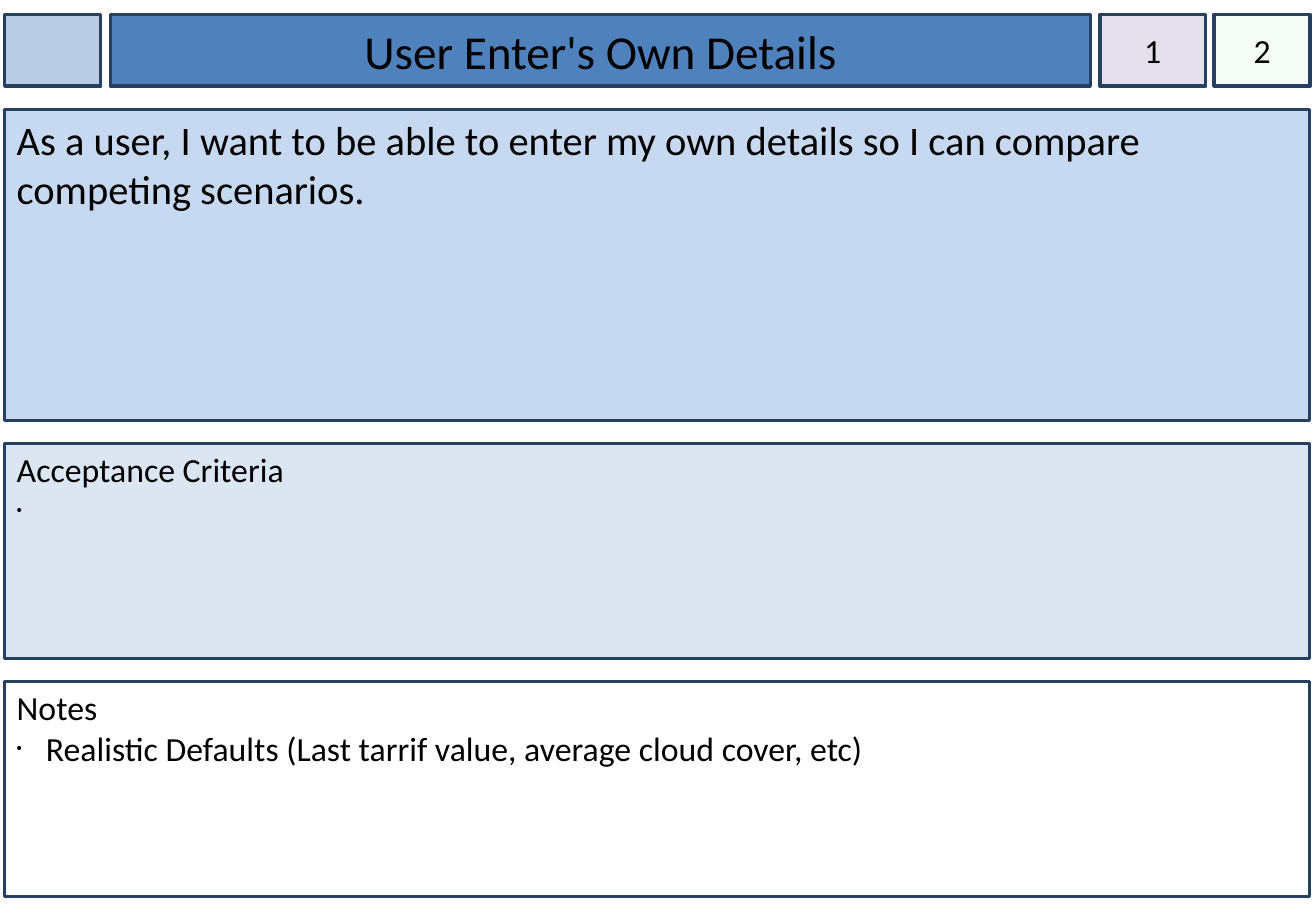
from dataclasses import dataclass
from typing import Any, Optional

import lxml.etree
import pptx
import pptx.dml.color
import pptx.enum.shapes
import pptx.enum.text
import pptx.oxml
import pptx.oxml.ns
import pptx.util

Cm = pptx.util.Cm
Align = pptx.enum.text.PP_ALIGN
Anchor = pptx.enum.text.MSO_ANCHOR

COLORS = {
    "edge": "254061",
    "text": "000000",
    "tag": "B9CDE5",
    "title": "4F81BD",
    "story": "C6D9F1",
    "tests": "DCE6F2",
    "notes": "FFFFFF",
    "rank": "E6E0EC",
    "points": "CCF0CD",
}
FONT = "Calibri"
EDGE = 0.1
HEAD_TOP, HEAD_HIGH = 0.3, 1.5
STACK_TOP, STACK_WIDE, STACK_GAP = 2.29, 27.3, 0.48
HANG = 0.61


@dataclass
class Box:
    fill: str
    left: float
    width: float
    top: float = HEAD_TOP
    height: float = HEAD_HIGH
    text: str = ""
    size: int = 20
    align: Any = Align.CENTER
    anchor: Any = Anchor.MIDDLE
    inset: float = 0.25
    wrap: bool = True
    holder: Optional[int] = None
    item: Optional[str] = None
    alpha: Optional[int] = None


@dataclass
class Panel:
    name: str
    height: float
    text: str
    size: int = 20
    holder: Optional[int] = None
    item: Optional[str] = None


HEADER = [
    Box("tag", EDGE, 2.01),
    Box("title", 2.31, 20.5, text="User Enter's Own Details", size=28, holder=0),
    Box("rank", 23.01, 2.21, text="1", inset=0, wrap=False),
    Box("points", 25.4, 2.01, text="2", inset=0, alpha=20),
]
PANELS = [
    Panel("story", 6.5, "As a user, I want to be able to enter my own details "
          "so I can compare competing scenarios.", size=24),
    # A lone space keeps the bullet of the open item visible.
    Panel("tests", 4.5, "Acceptance Criteria", holder=1, item=" "),
    Panel("notes", 4.5, "Notes", holder=2,
          item="Realistic Defaults (Last tarrif value, average cloud cover, etc)"),
]


def assign(target: Any, values: dict[str, Any]) -> None:
    for name, value in values.items():
        setattr(target, name, value)


def color(name: str) -> pptx.dml.color.RGBColor:
    return pptx.dml.color.RGBColor.from_string(COLORS[name])


def add_tag(parent: Any, tag: str, **values: str) -> Any:
    return lxml.etree.SubElement(parent, pptx.oxml.ns.qn(tag), values)


def set_bullet(para: Any, shown: bool) -> None:
    """Hang the lines of a list and show or hide the bullet."""
    props = para._p.get_or_add_pPr()
    props.set("marL", str(Cm(HANG)))
    props.set("indent", str(-Cm(HANG)))
    if shown:
        add_tag(add_tag(props, "a:buClr"), "a:srgbClr", val=COLORS["text"])
        add_tag(props, "a:buSzPct", val="45000")
        add_tag(props, "a:buChar", char="•")
    else:
        add_tag(props, "a:buNone")


def write(para: Any, text: str, box: Box) -> None:
    assign(para, {"alignment": box.align, "line_spacing": 1.0,
                  "space_before": pptx.util.Pt(0)})
    run = para.add_run()
    run.text = text
    assign(run.font, {"name": FONT, "size": pptx.util.Pt(box.size)})
    run.font.color.rgb = color("text")


def draw(slide: Any, box: Box) -> None:
    place = {"left": Cm(box.left), "top": Cm(box.top),
             "width": Cm(box.width), "height": Cm(box.height)}
    if box.holder is None:
        shape = slide.shapes.add_shape(
            pptx.enum.shapes.MSO_SHAPE.RECTANGLE, *place.values())
    else:
        shape = slide.placeholders[box.holder]
        assign(shape, place)
    shape.shadow.inherit = False
    shape.fill.solid()
    shape.fill.fore_color.rgb = color(box.fill)
    if box.alpha is not None:
        tint = shape._element.spPr.find(".//" + pptx.oxml.ns.qn("a:srgbClr"))
        add_tag(tint, "a:alpha", val=str(box.alpha * 1000))
    shape.line.color.rgb = color("edge")
    shape.line.width = pptx.util.Pt(2)
    if not box.text:
        return
    frame = shape.text_frame
    assign(frame, {
        "word_wrap": box.wrap,
        "auto_size": pptx.enum.text.MSO_AUTO_SIZE.NONE,
        "vertical_anchor": box.anchor,
        "margin_left": Cm(box.inset), "margin_right": Cm(box.inset),
        "margin_top": Cm(0.12), "margin_bottom": Cm(0.12),
    })
    first = frame.paragraphs[0]
    if box.item is not None:
        set_bullet(first, False)
    write(first, box.text, box)
    if box.item is not None:
        para = frame.add_paragraph()
        set_bullet(para, True)
        write(para, box.item, box)


def main() -> None:
    deck = pptx.Presentation()
    assign(deck, {"slide_width": Cm(27.53), "slide_height": Cm(19.05)})
    slide = deck.slides.add_slide(deck.slide_layouts.get_by_name("Two Content"))
    for box in HEADER:
        draw(slide, box)
    top = STACK_TOP
    for panel in PANELS:
        draw(slide, Box(panel.name, EDGE, STACK_WIDE, top, panel.height,
                        panel.text, panel.size, Align.LEFT, Anchor.TOP,
                        holder=panel.holder, item=panel.item))
        top += panel.height + STACK_GAP
    deck.save("out.pptx")


if __name__ == "__main__":
    main()
